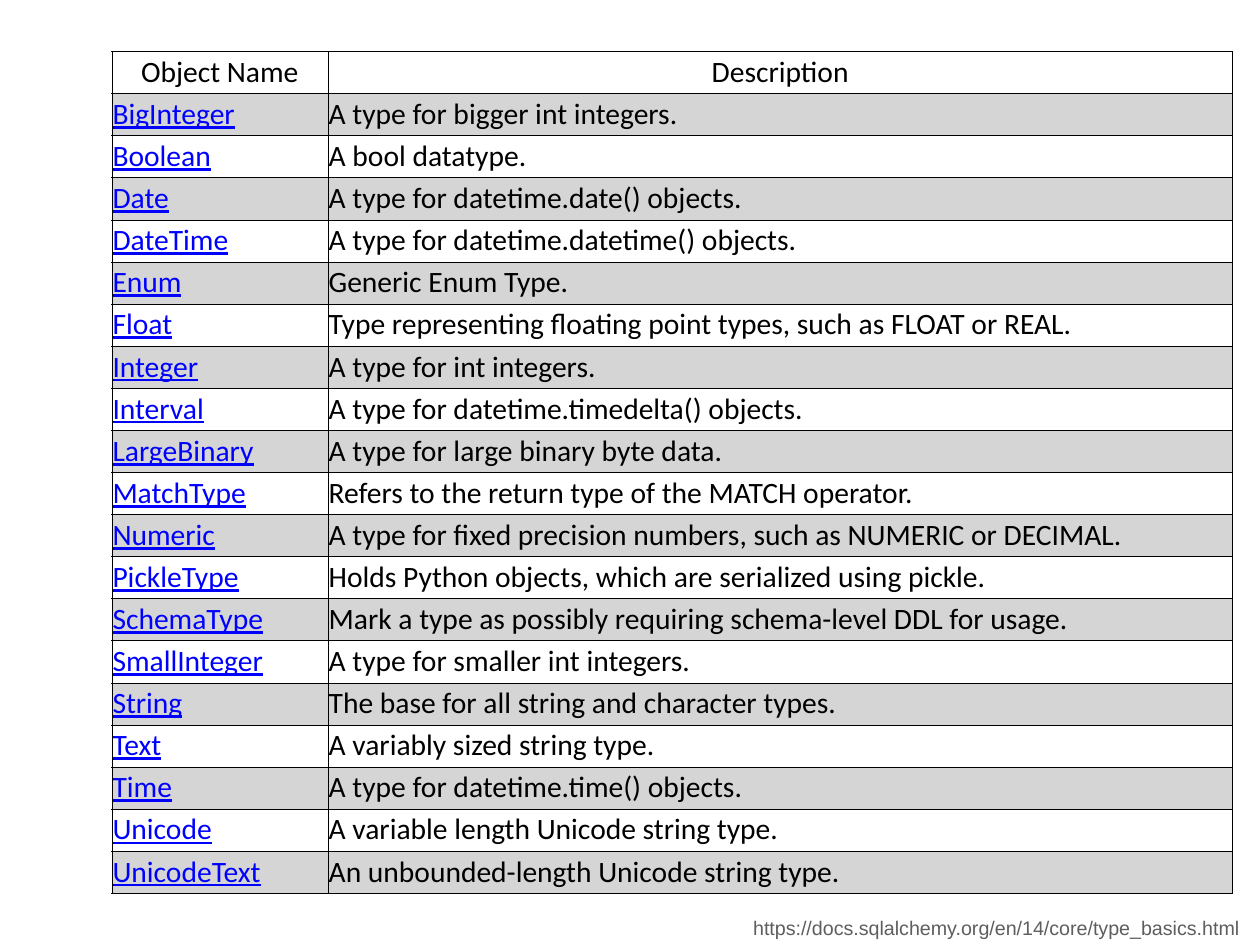
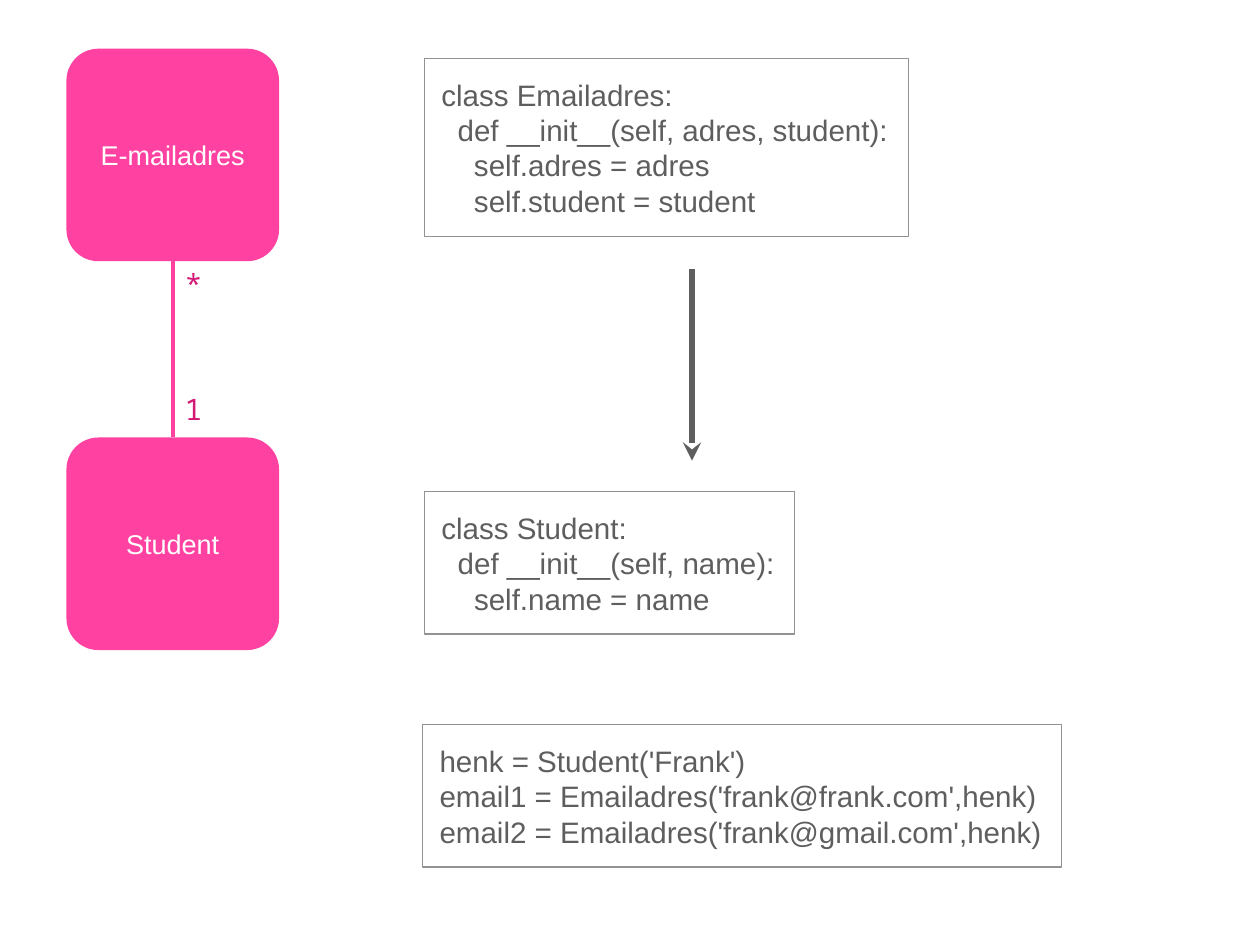
from dataclasses import dataclass

import pptx
import pptx.dml.color
import pptx.enum.shapes
import pptx.enum.text
import pptx.oxml
import pptx.oxml.ns
import pptx.util

Inches = pptx.util.Inches
Pt = pptx.util.Pt
Align = pptx.enum.text.PP_ALIGN
Shape = pptx.enum.shapes.MSO_SHAPE
NS = pptx.oxml.ns.nsdecls("a")


@dataclass(frozen=True)
class Theme:
    black: str = "000000"
    white: str = "FFFFFF"
    blue: str = "0000FF"
    band: str = "D5D5D5"
    gray: str = "5E5E5E"
    edge: str = "929292"
    pink: str = "FF42A1"
    deep: str = "D31876"
    sans: str = "Arial"
    grid: str = "Calibri"
    mono: str = "Noto Sans Mono"
    small: int = 16
    label: int = 22
    body: int = 24


T = Theme()

TYPES = [
    ("Object Name", "Description"),
    ("BigInteger", "A type for bigger int integers."),
    ("Boolean", "A bool datatype."),
    ("Date", "A type for datetime.date() objects."),
    ("DateTime", "A type for datetime.datetime() objects."),
    ("Enum", "Generic Enum Type."),
    ("Float", "Type representing floating point types, such as FLOAT or REAL."),
    ("Integer", "A type for int integers."),
    ("Interval", "A type for datetime.timedelta() objects."),
    ("LargeBinary", "A type for large binary byte data."),
    ("MatchType", "Refers to the return type of the MATCH operator."),
    ("Numeric", "A type for fixed precision numbers, such as NUMERIC or DECIMAL."),
    ("PickleType", "Holds Python objects, which are serialized using pickle."),
    ("SchemaType", "Mark a type as possibly requiring schema-level DDL for usage."),
    ("SmallInteger", "A type for smaller int integers."),
    ("String", "The base for all string and character types."),
    ("Text", "A variably sized string type."),
    ("Time", "A type for datetime.time() objects."),
    ("Unicode", "A variable length Unicode string type."),
    ("UnicodeText", "An unbounded-length Unicode string type."),
]

CODE = [
    ((4.79, 0.66, 5.46, 2.01), [
        "class Emailadres:",
        "  def __init__(self, adres, student):",
        "    self.adres = adres",
        "    self.student = student",
    ]),
    ((4.79, 5.55, 4.18, 1.61), [
        "class Student:",
        "  def __init__(self, name):",
        "    self.name = name",
    ]),
    ((4.77, 8.18, 7.21, 1.61), [
        "henk = Student('Frank')",
        "email1 = Emailadres('frank@frank.com',henk)",
        "email2 = Emailadres('frank@gmail.com',henk)",
    ]),
]


def rgb(color):
    return pptx.dml.color.RGBColor.from_string(color)


def paint(fill, color):
    if color:
        fill.solid()
        fill.fore_color.rgb = rgb(color)
    else:
        fill.background()


def inset(item, gap):
    item.margin_left = item.margin_right = Inches(gap)
    item.margin_top = item.margin_bottom = Inches(gap)
    item.vertical_anchor = pptx.enum.text.MSO_ANCHOR.MIDDLE


def write(frame, lines, size, font, color, align=Align.LEFT, under=False):
    for index, line in enumerate(lines):
        para = frame.add_paragraph() if index else frame.paragraphs[0]
        para.alignment = align
        run = para.add_run()
        run.text = line
        run.font.size = Pt(size)
        run.font.name = font
        run.font.color.rgb = rgb(color)
        run.font.underline = under


def add_text(slide, rect, text, size, font, color):
    frame = slide.shapes.add_textbox(*map(Inches, rect)).text_frame
    frame.word_wrap = False
    inset(frame, 0.03)
    write(frame, [text], size, font, color, Align.CENTER)


def add_box(slide, kind, rect, fill, edge, gap):
    box = slide.shapes.add_shape(kind, *map(Inches, rect))
    box.shadow.inherit = False
    paint(box.fill, fill)
    paint(box.line.fill, edge)
    if edge:
        box.line.width = Pt(1)
    inset(box.text_frame, gap)
    return box


def add_node(slide, top, name):
    node = add_box(slide, Shape.ROUNDED_RECTANGLE, (0.75, top, 2.4, 2.4), T.pink, None, 0.03)
    node.adjustments[0] = 0.15
    write(node.text_frame, [name], T.label, T.sans, T.white, Align.CENTER)
    return node


def add_code(slide, rect, lines):
    box = add_box(slide, Shape.RECTANGLE, rect, None, T.edge, 0.19)
    box.text_frame.word_wrap = False
    write(box.text_frame, lines, T.body, T.sans, T.gray)


def add_line(slide, start, end, color, width, arrow=False):
    line = slide.shapes.add_connector(
        pptx.enum.shapes.MSO_CONNECTOR.STRAIGHT, *map(Inches, start + end))
    line.line.color.rgb = rgb(color)
    line.line.width = Pt(width)
    if arrow:
        line.line._get_or_add_ln().append(
            pptx.oxml.parse_xml(f'<a:tailEnd {NS} type="stealth"/>'))
    line._element.spPr.append(pptx.oxml.parse_xml(f"<a:effectLst {NS}/>"))
    return line


def add_rules(cell):
    props = cell._tc.get_or_add_tcPr()
    for side in "LRTB":
        props.append(pptx.oxml.parse_xml(
            f'<a:ln{side} {NS} w="{Pt(0.25)}"><a:solidFill>'
            f'<a:srgbClr val="{T.black}"/></a:solidFill></a:ln{side}>'))


def add_grid(slide, rows, rect, widths):
    table = slide.shapes.add_table(len(rows), len(widths), *map(Inches, rect)).table
    table.first_row = table.horz_banding = False
    for column, width in zip(table.columns, widths):
        column.width = Inches(width)
    for r, row in enumerate(rows):
        for c, text in enumerate(row):
            cell = table.cell(r, c)
            inset(cell, 0.01)
            add_rules(cell)
            paint(cell.fill, T.band if r % 2 else None)
            link = r > 0 and c == 0
            write(cell.text_frame, [text], T.body, T.grid,
                  T.blue if link else T.black,
                  Align.LEFT if r else Align.CENTER, link)


def draw_types(slide):
    add_text(slide, (8.38, 10.32, 5.73, 0.3),
             "https://docs.sqlalchemy.org/en/14/core/type_basics.html",
             T.small, T.sans, T.gray)
    add_grid(slide, TYPES, (1.26, 0.58, 12.65, 9.51), (2.44, 10.21))


def draw_model(slide):
    email = add_node(slide, 0.55, "E-mailadres")
    student = add_node(slide, 4.94, "Student")
    link = add_line(slide, (1.95, 2.95), (1.95, 4.94), T.pink, 3)
    link.begin_connect(email, 2)
    link.end_connect(student, 0)
    for top, mark in ((2.98, "*"), (4.39, "1")):
        add_text(slide, (2.05, top, 0.27, 0.45), mark, T.body, T.mono, T.deep)
    for rect, lines in CODE:
        add_code(slide, rect, lines)
    add_line(slide, (7.81, 3.04), (7.81, 5.2), T.gray, 5, True)


def main():
    deck = pptx.Presentation()
    deck.slide_width = Inches(14.22)
    deck.slide_height = Inches(10.67)
    for draw in (draw_types, draw_model):
        draw(deck.slides.add_slide(deck.slide_layouts[6]))
    deck.save("out.pptx")


if __name__ == "__main__":
    main()
